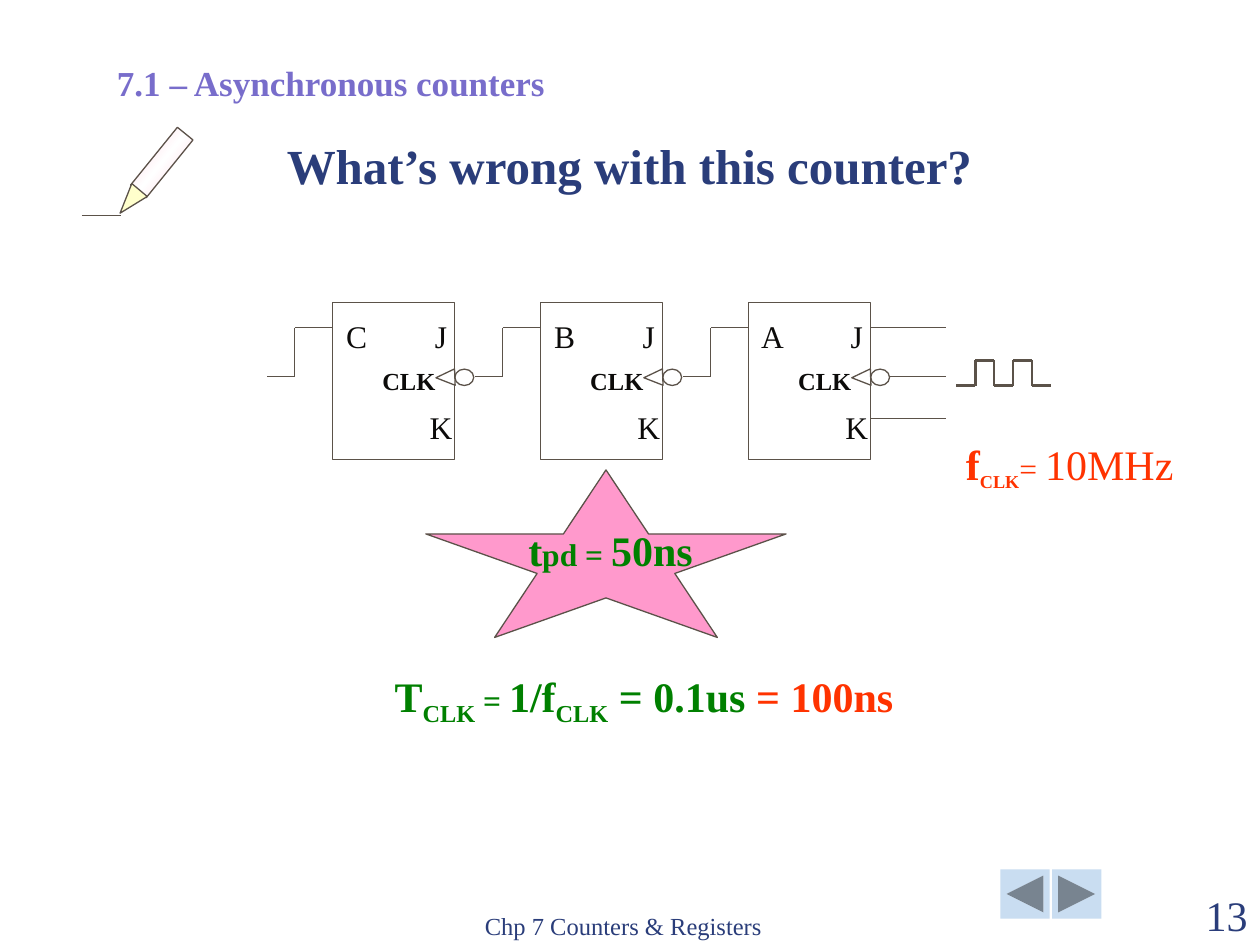
"""Build a slide asking what is wrong with an asynchronous counter."""
from dataclasses import dataclass

from lxml import etree
from pptx import Presentation
from pptx import util as u
from pptx.dml.color import RGBColor
from pptx.enum import shapes, text
from pptx.oxml import ns

KIND = shapes.MSO_SHAPE
ALIGN = text.PP_ALIGN
ANCHOR = text.MSO_ANCHOR


@dataclass(frozen=True)
class Theme:
    """Colours, type sizes and line widths of the slide."""
    font: str = "Times New Roman"
    navy: str = "2A3D7A"
    violet: str = "786DCB"
    ink: str = "0C0B0A"
    wire: str = "5B5249"
    white: str = "FFFFFF"
    red: str = "FF3300"
    green: str = "008000"
    star: str = "FF99CC"
    button: str = "C9DDF1"
    pencil: str = "FFCCE0"
    tip: str = "FFFFCC"
    title: int = 28
    large: int = 24
    heading: int = 20
    label: int = 18
    small: int = 14
    thin: float = 0.75
    thick: float = 1.5


THEME = Theme()


def write(box, spans, align=ALIGN.CENTER, anchor=ANCHOR.TOP):
    """Fill a text frame with one paragraph of (words, colour, format, baseline) spans."""
    frame = box.text_frame
    for name, value in {"word_wrap": True, "vertical_anchor": anchor,
                        "auto_size": text.MSO_AUTO_SIZE.NONE}.items():
        setattr(frame, name, value)
    for side in ("left", "right"):
        setattr(frame, f"margin_{side}", u.Inches(0.1))
    for side in ("top", "bottom"):
        setattr(frame, f"margin_{side}", u.Inches(0.05))
    para = frame.paragraphs[0]
    para.alignment = align
    for words, color, size, bold, baseline in spans:
        span = para.add_run()
        span.text = words
        style = {"name": THEME.font, "size": u.Pt(size), "bold": bold}
        for name, value in style.items():
            setattr(span.font, name, value)
        span.font.color.rgb = RGBColor.from_string(color)
        if baseline:
            span._r.get_or_add_rPr().set("baseline", str(baseline * 1000))


def add_text(page, at, spans, **layout):
    """Add a text box."""
    box = page.shapes.add_textbox(*map(u.Inches, at))
    write(box, spans, **layout)


def span(words, color, size, bold=False, baseline=0):
    """Describe one run of text."""
    return words, color, size, bold, baseline


def add_shape(page, kind, at, fill, outlined=True, rotation=0):
    """Add a preset shape with a flat fill."""
    shape = page.shapes.add_shape(kind, *map(u.Inches, at))
    shape.shadow.inherit = False
    shape.rotation = rotation
    shape.fill.solid()
    shape.fill.fore_color.rgb = RGBColor.from_string(fill)
    if outlined:
        shape.line.color.rgb = RGBColor.from_string(THEME.wire)
        shape.line.width = u.Pt(THEME.thin)
    else:
        shape.line.fill.background()
    return shape


def add_wire(page, points, width=THEME.thin):
    """Join successive points with straight connectors."""
    for start, end in zip(points, points[1:]):
        wire = page.shapes.add_connector(
            shapes.MSO_CONNECTOR.STRAIGHT, *map(u.Inches, start + end))
        wire.line.color.rgb = RGBColor.from_string(THEME.wire)
        wire.line.width = u.Pt(width)
        etree.SubElement(wire._element.spPr, ns.qn("a:effectLst"))


def shade(shape, edge, middle):
    """Blend a shape from its edges to its middle."""
    shape.fill.gradient()
    shape.fill.gradient_angle = 90
    stops = shape._element.spPr.find(ns.qn("a:gradFill")).find(ns.qn("a:gsLst"))
    for stop in list(stops):
        stops.remove(stop)
    for place, color in ((0, edge), (50, middle), (100, edge)):
        stop = etree.SubElement(stops, ns.qn("a:gs"), pos=str(place * 1000))
        etree.SubElement(stop, ns.qn("a:srgbClr"), val=color)


def add_flip_flop(page, left, name):
    """Add a flip-flop with its labels, clock input and output wire."""
    add_shape(page, KIND.RECTANGLE, (left, 2.4, 0.97, 1.25), THEME.white)
    add_shape(page, KIND.OVAL, (left + 0.97, 2.93, 0.15, 0.13), THEME.white)
    add_shape(page, KIND.ISOSCELES_TRIANGLE, (left + 0.83, 2.92, 0.13, 0.15),
              THEME.white, rotation=268)
    for words, shift, top in ((name, 0, 2.47), ("J", 0.67, 2.47), ("K", 0.67, 3.19)):
        add_text(page, (left + shift, top, 0.38, 0.4),
                 [span(words, THEME.ink, THEME.label)])
    add_text(page, (left + 0.23, 2.86, 0.75, 0.33),
             [span("CLK", THEME.ink, THEME.small, True)])
    bend = left - 0.3
    add_wire(page, [(left, 2.6), (bend, 2.6), (bend, 2.99), (left - 0.52, 2.99)])


def add_counter(page):
    """Add the three-stage counter, its inputs and its clock signal."""
    for index, name in enumerate("CBA"):
        add_flip_flop(page, 2.64 + 1.65 * index, name)
    for start, level in ((6.91, 2.6), (7.06, 2.99), (6.91, 3.32)):
        add_wire(page, [(start, level), (7.51, level)])
    low, high = 3.06, 2.86
    clock = []
    for step, level in enumerate((low, high, low, high, low)):
        left = 7.59 + 0.15 * step
        clock += [(left, level), (left + 0.15, level)]
    add_wire(page, clock, THEME.thick)


def add_pencil(page):
    """Add the pencil drawing a line."""
    body = add_shape(page, KIND.RECTANGLE, (0.99, 1.21, 0.59, 0.16),
                     THEME.pencil, rotation=309)
    shade(body, THEME.pencil, THEME.white)
    add_shape(page, KIND.ISOSCELES_TRIANGLE, (0.95, 1.48, 0.16, 0.24),
              THEME.tip, rotation=220)
    add_wire(page, [(0.65, 1.71), (0.96, 1.71)])


def add_title(page, words):
    """Place and format the title."""
    title = page.shapes.title
    place = dict(zip(("left", "top", "width", "height"), (1.76, 1.07, 6.47, 0.52)))
    for name, value in place.items():
        setattr(title, name, u.Inches(value))
    write(title, [span(words, THEME.navy, THEME.title, True)], anchor=ANCHOR.BOTTOM)


def add_footer(page):
    """Add the navigation buttons, footer and page number."""
    for kind, left in ((KIND.ACTION_BUTTON_BACK_OR_PREVIOUS, 7.94),
                       (KIND.ACTION_BUTTON_FORWARD_OR_NEXT, 8.35)):
        add_shape(page, kind, (left, 6.9, 0.39, 0.39), THEME.button, outlined=False)
    add_text(page, (3.75, 7.01, 3.17, 0.5),
             [span("Chp 7 Counters & Registers", THEME.navy, THEME.small)],
             align=ALIGN.LEFT, anchor=ANCHOR.BOTTOM)
    add_text(page, (9, 7.01, 1, 0.5), [span("13", THEME.navy, THEME.large)],
             align=ALIGN.RIGHT, anchor=ANCHOR.BOTTOM)


def add_timing(page):
    """Add the clock frequency, propagation delay and clock period."""
    red, green, large, label = THEME.red, THEME.green, THEME.large, THEME.label
    add_text(page, (7.46, 3.43, 2.06, 0.5), [
        span("f", red, large, True), span("CLK", red, label, True, -25),
        span("= ", red, label), span("10MHz", red, large)])
    add_text(page, (3.9, 4.11, 1.89, 0.5), [
        span("t", green, large, True), span("pd = ", green, label, True),
        span("50ns", green, large, True)])
    add_text(page, (2.62, 5.27, 4.98, 0.5), [
        span("T", green, large, True), span("CLK", green, large, True, -25),
        span(" = ", green, label, True), span("1/f", green, large, True),
        span("CLK", green, large, True, -25), span(" = 0.1us ", green, large, True),
        span("= 100ns", red, large, True)])


def main():
    """Build and save the deck."""
    deck = Presentation()
    deck.slide_width, deck.slide_height = u.Inches(10), u.Inches(7.5)
    page = deck.slides.add_slide(deck.slide_layouts[5])
    add_footer(page)
    add_shape(page, KIND.STAR_5_POINT, (3.38, 3.73, 2.86, 1.33), THEME.star)
    add_title(page, "What’s wrong with this counter?")
    add_counter(page)
    add_pencil(page)
    add_text(page, (0.83, 0.44, 4.02, 0.43),
             [span("7.1 – Asynchronous counters", THEME.violet, THEME.heading, True)],
             align=ALIGN.LEFT)
    add_timing(page)
    deck.save("out.pptx")


if __name__ == "__main__":
    main()
